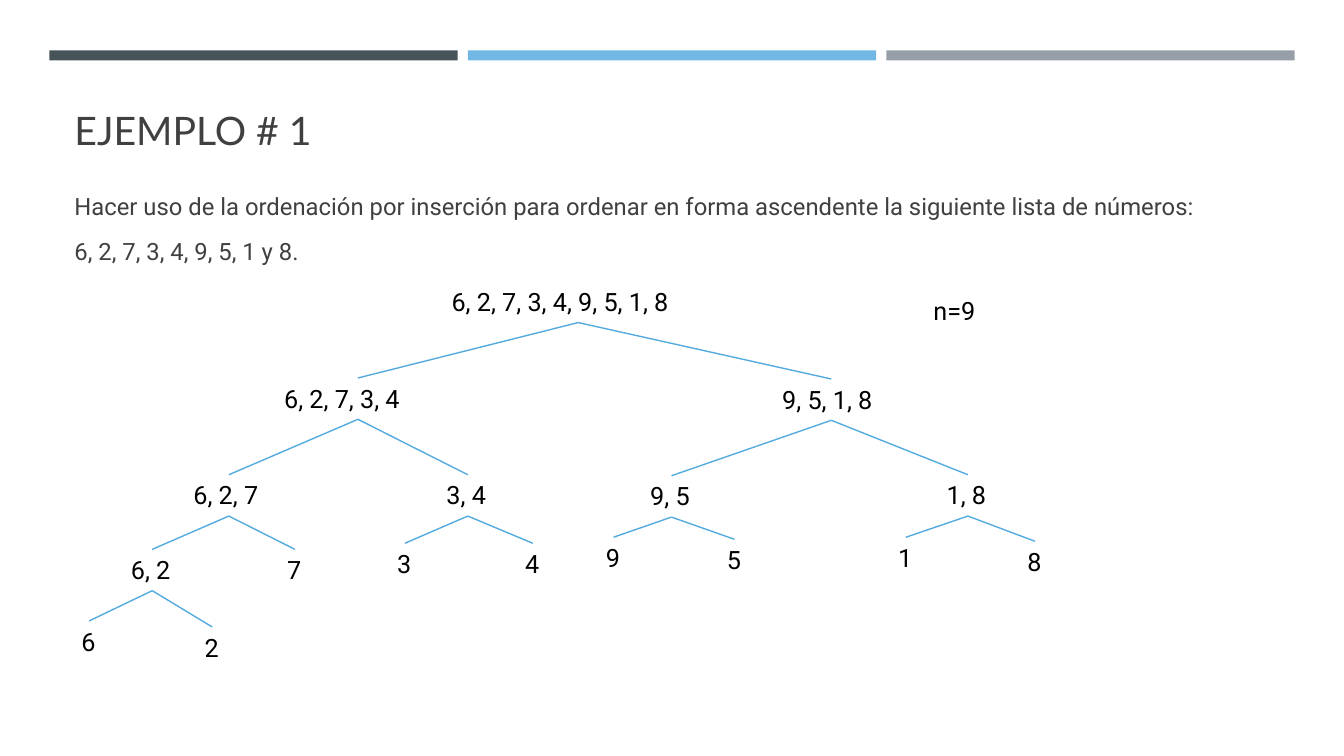
import lxml.etree
import pptx
import pptx.dml.color
import pptx.enum.shapes
import pptx.enum.text
import pptx.oxml.ns
import pptx.util

RGB = pptx.dml.color.RGBColor
ANCHOR = pptx.enum.text.MSO_ANCHOR

SLATE = RGB(0x46, 0x53, 0x59)
SKY = RGB(0x71, 0xB9, 0xE4)
GREY = RGB(0x96, 0x9F, 0xA7)
BRANCH = RGB(0x54, 0xAB, 0xDF)
DARK = RGB(0x40, 0x40, 0x40)
BLACK = RGB(0, 0, 0)

COLS, ROWS = 13.33, 7.5
TITLE = {"name": "Lato", "size": pptx.util.Pt(28)}
BODY = {"name": "Roboto", "size": pptx.util.Pt(17)}
NODE = {"name": "Roboto", "size": pptx.util.Pt(18)}

NUMBERS = (6, 2, 7, 3, 4, 9, 5, 1, 8)
NODE_HEIGHT = 0.41
NODE_WIDTHS = {1: 0.35, 2: 0.62, 3: 0.9, 4: 1.17, 5: 1.66, 9: 2.71}
NODE_PLACES = {
    NUMBERS: (4.38, 2.79),
    (6, 2, 7, 3, 4): (2.72, 3.75),
    (9, 5, 1, 8): (7.66, 3.76),
    (6, 2, 7): (1.82, 4.71),
    (3, 4): (4.33, 4.71),
    (9, 5): (6.35, 4.72),
    (1, 8): (9.29, 4.71),
    (6, 2): (1.2, 5.45),
    (7,): (2.75, 5.45),
    (3,): (3.84, 5.39),
    (4,): (5.11, 5.39),
    (9,): (5.91, 5.33),
    (5,): (7.11, 5.35),
    (1,): (8.81, 5.33),
    (8,): (10.09, 5.37),
    (6,): (0.71, 6.16),
    (2,): (1.93, 6.22),
}


class Deck:
    """Draws styled elements on a slide laid out in one-inch columns and rows."""

    def __init__(self):
        self.prs = pptx.Presentation()
        self.prs.slide_width = pptx.util.Inches(COLS)
        self.prs.slide_height = pptx.util.Inches(ROWS)
        self.s = self.prs.slides.add_slide(self.prs.slide_layouts[6])

    def cells(self, *lengths):
        return [pptx.util.Inches(n) for n in lengths]

    def bar(self, col, row, width, height, color):
        kind = pptx.enum.shapes.MSO_SHAPE.RECTANGLE
        sp = self.s.shapes.add_shape(kind, *self.cells(col, row, width, height))
        sp.shadow.inherit = False
        sp.fill.solid()
        sp.fill.fore_color.rgb = color
        sp.line.fill.background()

    def text(self, lines, col, row, width, height, style, color,
             anchor=ANCHOR.TOP, wrap=True, spacing=None):
        sp = self.s.shapes.add_textbox(*self.cells(col, row, width, height))
        tf = sp.text_frame
        tf.word_wrap = wrap
        tf.vertical_anchor = anchor
        for i, line in enumerate(lines):
            p = tf.paragraphs[0] if i == 0 else tf.add_paragraph()
            if i:
                p.space_before = pptx.util.Pt(4)
            for key, value in (spacing or {}).items():
                setattr(p, key, value)
            r = p.add_run()
            r.text = line
            for key, value in style.items():
                setattr(r.font, key, value)
            r.font.color.rgb = color
        return sp

    def branch(self, parent, child):
        kind = pptx.enum.shapes.MSO_CONNECTOR.STRAIGHT
        cn = self.s.shapes.add_connector(kind, 0, 0, 0, 0)
        cn.begin_connect(parent, 2)
        cn.end_connect(child, 0)
        cn.line.color.rgb = BRANCH
        cn.line.width = pptx.util.Pt(1)
        lxml.etree.SubElement(cn._element.spPr, pptx.oxml.ns.qn("a:effectLst"))

    def tree(self, values):
        width = NODE_WIDTHS[len(values)]
        node = self.text([", ".join(map(str, values))], *NODE_PLACES[values],
                         width, NODE_HEIGHT, NODE, BLACK, wrap=width > 1.5)
        if len(values) > 1:
            half = (len(values) + 1) // 2
            for part in (values[:half], values[half:]):
                self.branch(node, self.tree(part))
        return node


def main():
    deck = Deck()
    for i, color in enumerate((SLATE, SKY, GREY)):
        deck.bar(0.49 + 4.15 * i, 0.5, 4.05, 0.1, color)
    deck.text(["EJEMPLO # 1"], 0.64, 0.77, 12.06, 0.8, TITLE, DARK, ANCHOR.BOTTOM)
    deck.text(
        ["Hacer uso de la ordenación por inserción para ordenar en forma "
         "ascendente la siguiente lista de números:",
         "6, 2, 7, 3, 4, 9, 5, 1 y 8."],
        0.64, 1.71, 12.06, 1.08, BODY, DARK, ANCHOR.MIDDLE,
        spacing={"line_spacing": 1.1, "space_after": pptx.util.Pt(6)})
    deck.text(["n=9"], 9.16, 2.88, 0.67, 0.4, NODE, BLACK, wrap=False)
    deck.tree(NUMBERS)
    deck.prs.save("out.pptx")


if __name__ == "__main__":
    main()
